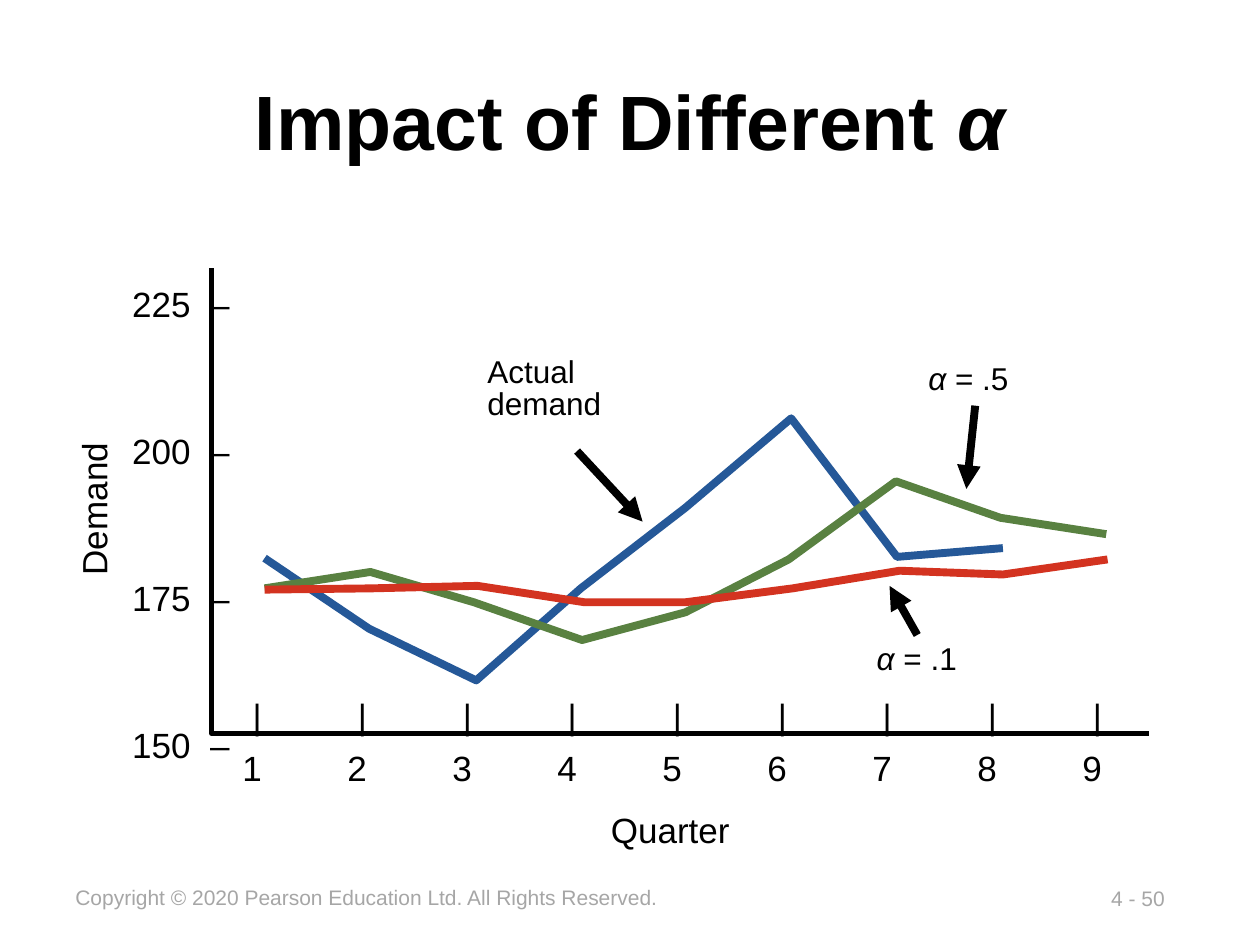
from lxml.etree import SubElement
from pptx import Presentation
from pptx.dml.color import RGBColor
from pptx.enum.shapes import MSO_CONNECTOR
from pptx.enum.text import MSO_ANCHOR, PP_ALIGN
from pptx.oxml.ns import qn
from pptx.util import Inches, Pt

BLACK = RGBColor(0x00, 0x00, 0x00)
GREY = RGBColor(0xA6, 0xA6, 0xA6)
BLUE = RGBColor(0x25, 0x58, 0x98)
GREEN = RGBColor(0x59, 0x81, 0x41)
RED = RGBColor(0xD3, 0x33, 0x20)

# Content: each text is a list of paragraphs, each paragraph a list of (text, italic)
TITLE = [("Impact of Different ", False), ("α", True)]
LEVELS = [225, 200, 175, 150]
QUARTERS = range(1, 10)

# Curves: colour and the points in inches
CURVES = [
    (BLUE, [(2.1, 4.43), (2.93, 4.99), (3.78, 5.4), (4.61, 4.67),
            (5.44, 4.03), (6.28, 3.32), (7.12, 4.42), (7.96, 4.35)]),
    (GREEN, [(2.1, 4.67), (2.94, 4.54), (3.76, 4.78), (4.62, 5.08), (5.44, 4.86),
             (6.26, 4.44), (7.11, 3.82), (7.94, 4.11), (8.78, 4.24)]),
    (RED, [(2.1, 4.68), (2.94, 4.67), (3.79, 4.65), (4.64, 4.78), (5.44, 4.78),
           (6.29, 4.67), (7.14, 4.53), (7.96, 4.56), (8.79, 4.44)]),
]
AXES = [(1.68, 2.13), (1.68, 5.82), (9.12, 5.82)]

# Labels: place, size, colour, runs
LABELS = [
    ((8.72, 6.98, 0.65, 0.3), 12, GREY, [("4 - 50", False)]),
    ((0.5, 6.97, 4.86, 0.3), 12, GREY,
     [("Copyright © 2020 Pearson Education Ltd. All Rights Reserved.", False)]),
    ((4.75, 6.37, 1.16, 0.44), 20, BLACK, [("Quarter", False)]),
    ((6.86, 5.02, 0.88, 0.4), 18, BLACK, [("α", True), (" = .1", False)]),
    ((7.27, 2.8, 0.88, 0.4), 18, BLACK, [("α", True), (" = .5", False)]),
]
# Arrows: tip, tail
ARROWS = [((7.06, 4.65), (7.28, 5.04)),
          ((5.1, 4.14), (4.58, 3.58)),
          ((7.67, 3.88), (7.74, 3.22))]


def add_runs(para, runs, size, color, bold=False):
    for text, slant in runs:
        run = para.add_run()
        run.text = text
        font = run.font
        font.name, font.size, font.bold, font.italic = "Arial", Pt(size), bold, slant
        font.color.rgb = color


def set_tabs(para, stops, align):
    tabs = SubElement(para._p.get_or_add_pPr(), qn("a:tabLst"))
    for stop in stops:
        SubElement(tabs, qn("a:tab"), pos=str(Inches(stop)), algn=align)


def add_text(slide, place, size, color, paras, wrap=False, space=None, tabs=None):
    box = slide.shapes.add_textbox(*map(Inches, place))
    frame = box.text_frame
    frame.word_wrap = wrap
    for i, runs in enumerate(paras):
        para = frame.add_paragraph() if i else frame.paragraphs[0]
        if tabs:
            set_tabs(para, *tabs)
        if space:
            para.line_spacing = space
        add_runs(para, runs, size, color)
    return box


def add_path(slide, points, color, width):
    spots = [(Inches(x), Inches(y)) for x, y in points]
    build = slide.shapes.build_freeform(*spots[0])
    build.add_line_segments(spots[1:], close=False)
    shape = build.convert_to_shape()
    shape.shadow.inherit = False
    shape.fill.background()
    shape.line.color.rgb = color
    shape.line.width = Pt(width)


def add_arrow(slide, tip, tail):
    line = slide.shapes.add_connector(MSO_CONNECTOR.STRAIGHT, *map(Inches, tip + tail))
    line.line.color.rgb = BLACK
    line.line.width = Pt(4.5)
    SubElement(line.line._get_or_add_ln(), qn("a:headEnd"), type="triangle")
    SubElement(line._element.spPr, qn("a:effectLst"))


def main():
    deck = Presentation()
    deck.slide_width, deck.slide_height = Inches(10), Inches(7.5)
    slide = deck.slides.add_slide(deck.slide_layouts[5])

    # Title
    title = slide.shapes.title
    title.left, title.top, title.width, title.height = map(Inches, (0.75, 0.48, 8.5, 0.94))
    title.text_frame.vertical_anchor = MSO_ANCHOR.MIDDLE
    para = title.text_frame.paragraphs[0]
    para.alignment = PP_ALIGN.CENTER
    add_runs(para, TITLE, 44, BLACK, bold=True)

    # Curves
    for color, points in CURVES:
        add_path(slide, points, color, 4.5)

    # Axes with their scales
    add_text(slide, (0.95, 1.36, 0.98, 4.67), 20, BLACK,
             [[(f"{level}\t–", False)] for level in LEVELS],
             wrap=True, space=3.5, tabs=([0.62], "l"))
    add_path(slide, AXES, BLACK, 3)
    stops = [0.21 + i * 5 / 6 for i in range(len(QUARTERS))]
    ticks = "\t|" * len(QUARTERS)
    names = "".join(f"\t{n}" for n in QUARTERS)
    add_text(slide, (1.77, 5.38, 7.08, 0.93), 20, BLACK,
             [[(ticks, False)], [(names, False)]],
             wrap=True, space=1.25, tabs=(stops, "dec"))
    side = add_text(slide, (0.09, 3.8, 1.3, 0.43), 20, BLACK, [[("Demand", False)]])
    side.rotation = 270

    # Labels and arrows
    for place, size, color, runs in LABELS:
        add_text(slide, place, size, color, [runs])
    add_text(slide, (3.77, 2.79, 1.56, 0.62), 18, BLACK,
             [[("Actual demand", False)]], wrap=True, space=0.85)
    for tip, tail in ARROWS:
        add_arrow(slide, tip, tail)

    deck.save("out.pptx")


if __name__ == "__main__":
    main()
